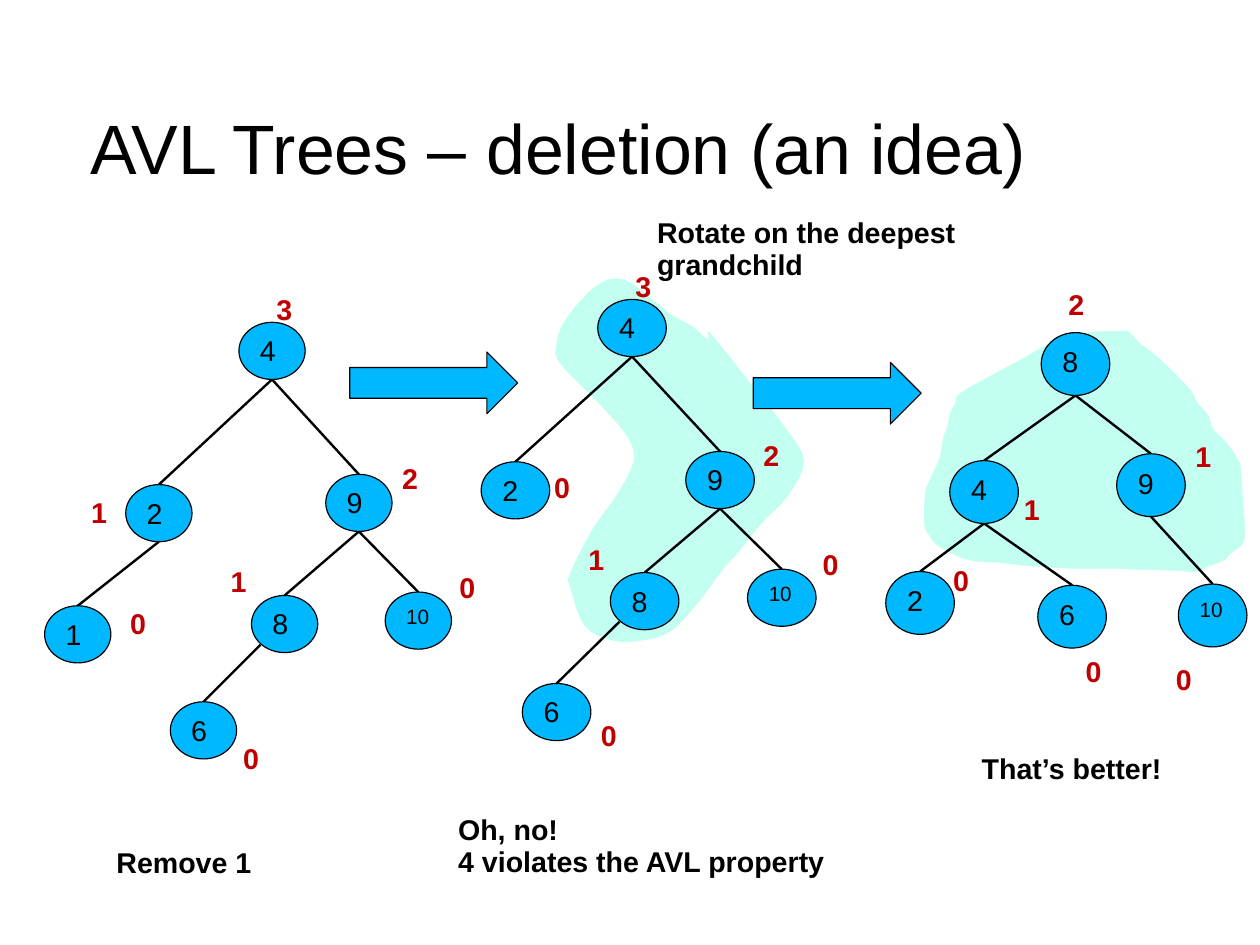
from collections import namedtuple

from lxml import etree
from pptx import Presentation
from pptx import util as u
from pptx.dml.color import RGBColor
from pptx.enum import shapes, text
from pptx.oxml import ns

BLACK = RGBColor(0x00, 0x00, 0x00)
WHITE = RGBColor(0xFF, 0xFF, 0xFF)
BLUE = RGBColor(0x00, 0xB8, 0xFF)
MINT = RGBColor(0xC2, 0xFF, 0xF0)
RED = RGBColor(0xC0, 0x00, 0x00)
FONT = "Arial"

# A node's place and its height label's place are relative to its tree's corner.
Node = namedtuple("Node", "x y height label_x label_y parent from_side",
                  defaults=(None, False))

START_TREE = {
    "4": Node(1.70, 0.29, 3, 1.93, 0),
    "2": Node(0.71, 1.71, 1, 0.31, 1.78, "4"),
    "9": Node(2.46, 1.62, 2, 3.03, 1.48, "4"),
    "8": Node(1.81, 2.68, 1, 1.53, 2.38, "9"),
    "10": Node(2.98, 2.65, 0, 3.53, 2.43, "9"),
    "6": Node(1.10, 3.61, 0, 1.64, 3.93, "8", True),
    "1": Node(0, 2.77, 0, 0.65, 2.75, "2"),
}
UNBALANCED_TREE = {
    "4": Node(1.02, 0.29, 3, 1.25, 0),
    "2": Node(0, 1.71, 0, 0.54, 1.76, "4"),
    "9": Node(1.79, 1.62, 2, 2.37, 1.48, "4"),
    "8": Node(1.13, 2.68, 1, 0.84, 2.39, "9"),
    "10": Node(2.33, 2.65, 0, 2.89, 2.43, "9"),
    "6": Node(0.36, 3.65, 0, 0.95, 3.93, "8", True),
}
ROTATED_TREE = {
    "8": Node(1.36, 0.42, 2, 1.50, 0),
    "4": Node(0.56, 1.54, 1, 1.11, 1.79, "8"),
    "9": Node(2.02, 1.48, 1, 2.61, 1.33, "8"),
    "2": Node(0, 2.51, 0, 0.49, 2.41, "4"),
    "6": Node(1.33, 2.63, 0, 1.65, 3.21, "4"),
    "10": Node(2.56, 2.62, 0, 2.44, 3.28, "9"),
}

# Outlines of the highlighted areas, relative to their boxes
PATH_AREA = [
    (1.35, 0.46), (1.68, 0.87), (2.01, 1.29), (2.18, 1.59), (2.04, 1.90),
    (1.81, 2.14), (1.61, 2.39), (1.46, 2.56), (1.25, 2.84), (1.01, 3.09),
    (0.75, 3.17), (0.50, 3.17), (0.25, 3.04), (0.12, 2.69), (0.12, 2.58),
    (0.31, 2.20), (0.52, 1.90), (0.65, 1.67), (0.68, 1.52), (0.60, 1.35),
    (0.38, 1.10), (0.04, 0.75), (0, 0.58), (0.09, 0.34), (0.36, 0.05),
    (0.60, 0), (0.87, 0.19), (1.02, 0.31), (1.20, 0.41), (1.33, 0.52),
]
ROTATED_AREA = [
    (0.32, 0.55), (0.58, 0.40), (0.84, 0.26), (1.10, 0.12), (1.39, 0.02),
    (1.71, 0), (1.81, 0.01), (1.91, 0.11), (2.04, 0.21), (2.17, 0.33),
    (2.27, 0.43), (2.36, 0.53), (2.42, 0.64), (2.50, 0.73), (2.55, 0.86),
    (2.64, 0.95), (2.72, 1.05), (2.77, 1.14), (2.79, 1.19), (2.81, 1.48),
    (2.83, 1.77), (2.80, 1.88), (2.71, 1.95), (2.64, 2.02), (2.51, 2.07),
    (2.39, 2.12), (2.23, 2.11), (1.89, 2.10), (1.61, 2.09), (1.29, 2.09),
    (0.94, 2.07), (0.66, 2.04), (0.48, 2.03), (0.35, 2.00), (0.24, 1.95),
    (0.13, 1.89), (0.07, 1.82), (0.01, 1.70), (0.02, 1.42), (0.06, 1.30),
    (0.14, 1.13), (0.16, 1.04), (0.18, 0.92), (0.21, 0.85), (0.24, 0.71),
    (0.28, 0.64),
]


def write_text(shape, content, size=18, color=BLACK, bold=False, wrap=True,
               anchor=text.MSO_ANCHOR.TOP):
    """Fill a shape with left-aligned paragraphs, one for each line."""
    frame = shape.text_frame
    frame.text = content
    frame.word_wrap = wrap
    frame.vertical_anchor = anchor
    for paragraph in frame.paragraphs:
        paragraph.alignment = text.PP_ALIGN.LEFT
        paragraph.line_spacing = 0.93
        for run in paragraph.runs:
            run.font.name = FONT
            run.font.size = u.Pt(size)
            run.font.bold = bold
            run.font.color.rgb = color


def paint(shape, fill, line):
    shape.shadow.inherit = False
    shape.fill.solid()
    shape.fill.fore_color.rgb = fill
    shape.line.color.rgb = line
    shape.line.width = u.Pt(0.75)


def add_preset(parent, kind, box):
    shape = parent.shapes.add_shape(kind, *map(u.Inches, box))
    paint(shape, BLUE, BLACK)
    return shape


def add_caption(parent, content, box, **text_format):
    caption = parent.shapes.add_textbox(*map(u.Inches, box))
    write_text(caption, content, bold=True, **text_format)


def add_edge(parent, start, end):
    edge = parent.shapes.add_connector(
        shapes.MSO_CONNECTOR.STRAIGHT, *map(u.Inches, (*start, *end)))
    edge.line.color.rgb = BLACK
    edge.line.width = u.Pt(1.5)
    etree.SubElement(edge._element.spPr, ns.qn("a:effectLst"))


def smooth(points, steps=4):
    """Closed Catmull-Rom curve through the points."""
    count = len(points)
    curve = []
    for i in range(count):
        neighbours = [points[(i + k) % count] for k in (-1, 0, 1, 2)]
        for step in range(steps):
            t = step / steps
            curve.append(tuple(
                b + 0.5 * t * (c - a + t * (2 * a - 5 * b + 4 * c - d
                                            + t * (3 * (b - c) + d - a)))
                for a, b, c, d in zip(*neighbours)))
    return curve


def add_area(slide, left, top, outline):
    points = [(u.Inches(left + x), u.Inches(top + y))
              for x, y in smooth(outline)]
    builder = slide.shapes.build_freeform(*points[0])
    builder.add_line_segments(points[1:], close=True)
    paint(builder.convert_to_shape(), MINT, WHITE)


def add_tree(slide, left, top, nodes, width, height):
    group = slide.shapes.add_group_shape()
    # Edges run from the parent's bottom, or its lower left, to the child's top
    for node in nodes.values():
        if node.parent:
            parent = nodes[node.parent]
            dx, dy = (0.08, 0.43) if node.from_side else (width / 2, height)
            add_edge(group, (left + parent.x + dx, top + parent.y + dy),
                     (left + node.x + width / 2, top + node.y))
    # Nodes and their heights
    for key, node in nodes.items():
        circle = add_preset(group, shapes.MSO_SHAPE.OVAL,
                            (left + node.x, top + node.y, width, height))
        write_text(circle, key, size=13 if len(key) > 1 else 18)
        add_caption(group, str(node.height),
                    (left + node.label_x, top + node.label_y, 0.34, 0.38),
                    color=RED, wrap=False)


def add_title(slide, content, box):
    title = slide.shapes.title
    title.left, title.top, title.width, title.height = map(u.Inches, box)
    write_text(title, content, size=44, anchor=text.MSO_ANCHOR.MIDDLE)
    frame = title.text_frame
    frame.margin_left = frame.margin_right = frame.margin_bottom = 0
    frame.margin_top = u.Inches(0.04)


# The page is 28 by 21 cm
presentation = Presentation()
presentation.slide_width = u.Inches(28 / 2.54)
presentation.slide_height = u.Inches(21 / 2.54)
slide = presentation.slides.add_slide(presentation.slide_layouts[5])

# Highlighted areas and title
add_area(slide, 4.86, 2.44, PATH_AREA)
add_area(slide, 8.07, 2.89, ROTATED_AREA)
add_title(slide, "AVL Trees – deletion (an idea)", (0.79, 0.62, 9.25, 1.37))

# Arrows between the stages
for arrow_left, arrow_top in ((3.06, 3.08), (6.59, 3.17)):
    add_preset(slide, shapes.MSO_SHAPE.RIGHT_ARROW,
               (arrow_left, arrow_top, 1.47, 0.54))

# Three stages of the deletion
add_tree(slide, 0.39, 2.53, START_TREE, 0.58, 0.5)
add_tree(slide, 4.21, 2.33, UNBALANCED_TREE, 0.6, 0.5)
add_tree(slide, 7.75, 2.49, ROTATED_TREE, 0.6, 0.55)

# Captions
add_caption(slide, "Remove 1", (0.92, 7.37, 1.72, 0.38))
add_caption(slide, "Oh, no!\n4 violates the AVL property", (3.91, 7.08, 3.41, 0.66))
add_caption(slide, "That’s better!", (8.49, 6.55, 3.41, 0.38))
add_caption(slide, "Rotate on the deepest grandchild", (5.65, 1.86, 3.38, 0.67))

presentation.save("out.pptx")
